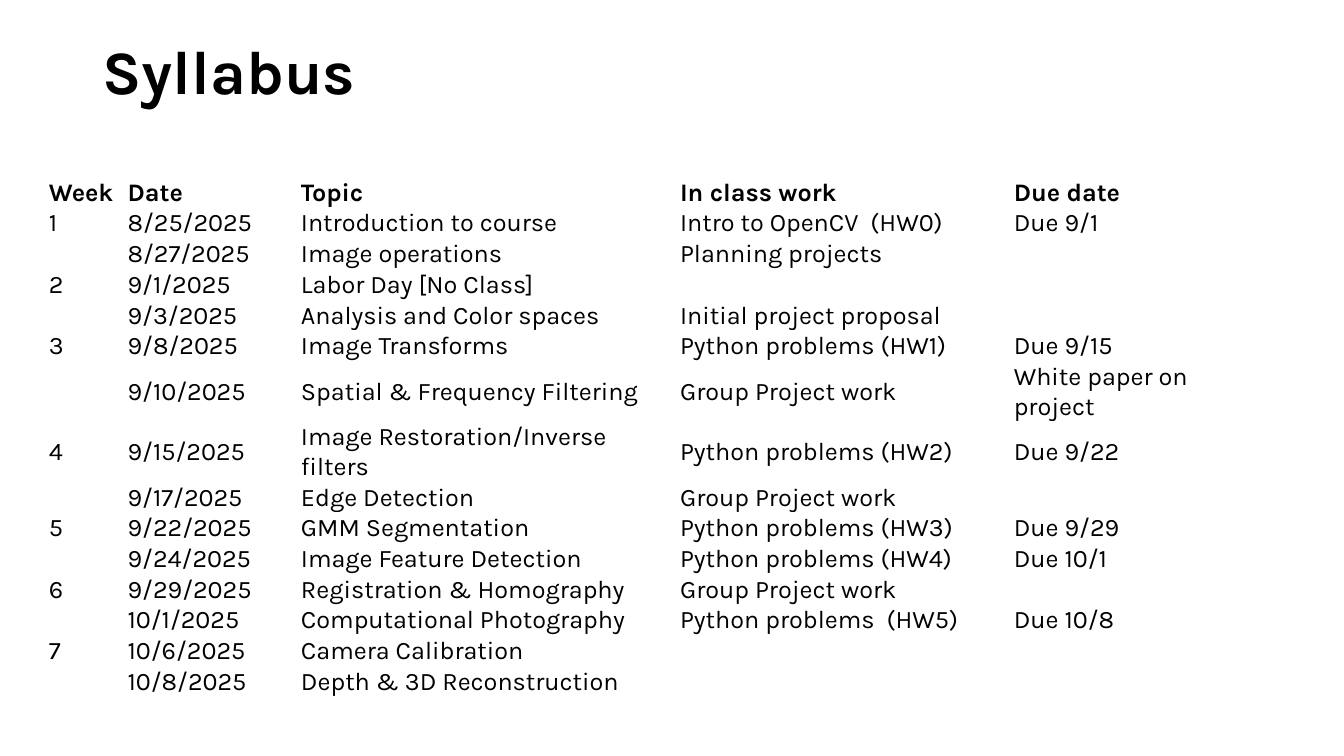
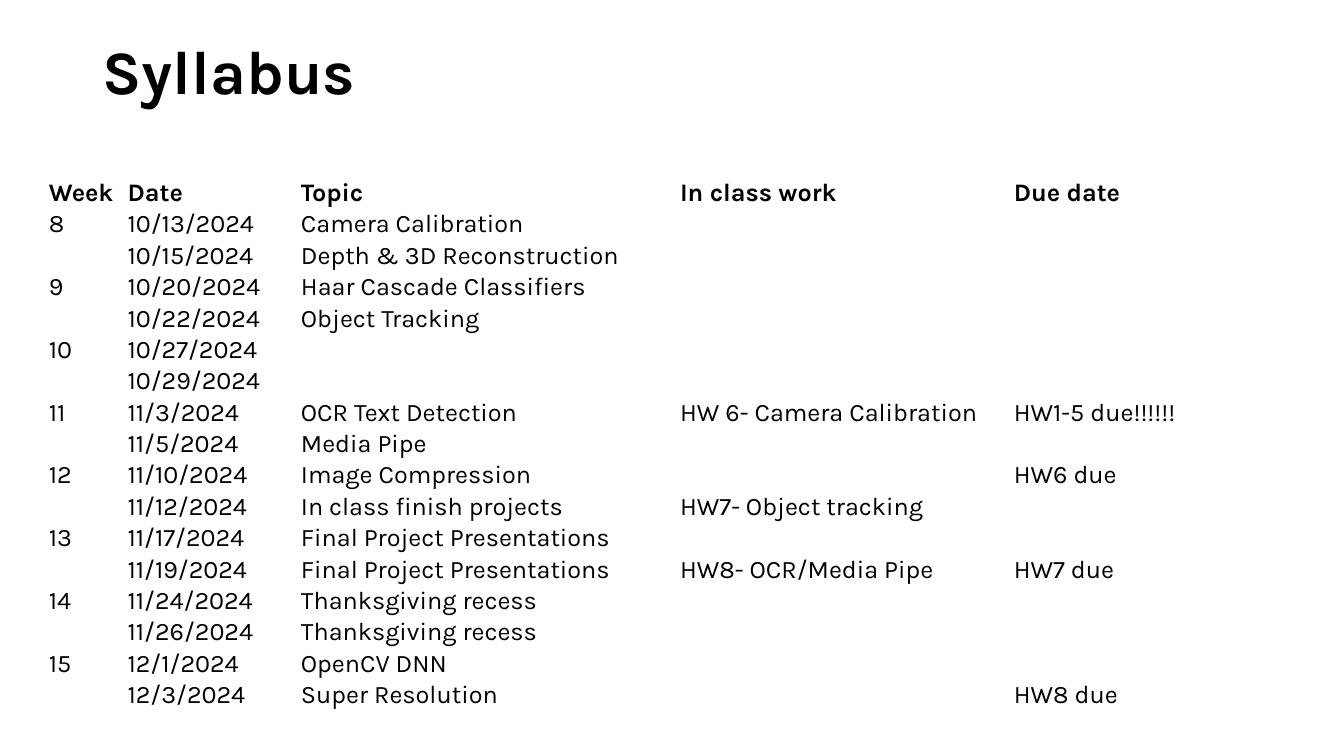
from pptx import Presentation
from pptx.dml.color import RGBColor
from pptx.enum.text import MSO_ANCHOR
from pptx.oxml.xmlchemy import OxmlElement
from pptx.util import Inches, Pt

MIDDLE = MSO_ANCHOR.MIDDLE
SLIDE_WIDTH, SLIDE_HEIGHT = 13.33, 7.5
FONT, INK, PAPER = "Karla", "000000", "FFFFFF"
TITLE_SIZE, TABLE_SIZE = 44, 18
TITLE_BOX = (0.92, 0.01, 11.5, 1.45)
TABLE_LEFT, TABLE_TOP = 0.48, 1.76
COLUMN_WIDTHS = (0.78, 1.72, 3.76, 3.31, 2.53)
ROW_HEIGHT = 0.3
CELL_MARGIN = Pt(0.4)
HEADINGS = ("Week", "Date", "Topic", "In class work", "Due date")
SESSIONS_PER_WEEK = 2

FIRST_HALF = [
    ("8/25", "Introduction to course", "Intro to OpenCV  (HW0)", "Due 9/1"),
    ("8/27", "Image operations", "Planning projects", ""),
    ("9/1", "Labor Day [No Class]", "", ""),
    ("9/3", "Analysis and Color spaces", "Initial project proposal", ""),
    ("9/8", "Image Transforms", "Python problems (HW1)", "Due 9/15"),
    ("9/10", "Spatial & Frequency Filtering", "Group Project work", "White paper on project"),
    ("9/15", "Image Restoration/Inverse filters", "Python problems (HW2)", "Due 9/22"),
    ("9/17", "Edge Detection", "Group Project work", ""),
    ("9/22", "GMM Segmentation", "Python problems (HW3)", "Due 9/29"),
    ("9/24", "Image Feature Detection", "Python problems (HW4)", "Due 10/1"),
    ("9/29", "Registration & Homography", "Group Project work", ""),
    ("10/1", "Computational Photography", "Python problems  (HW5)", "Due 10/8"),
    ("10/6", "Camera Calibration", "", ""),
    ("10/8", "Depth & 3D Reconstruction", "", ""),
]
SECOND_HALF = [
    ("10/13", "Camera Calibration", "", ""),
    ("10/15", "Depth & 3D Reconstruction", "", ""),
    ("10/20", "Haar Cascade Classifiers", "", ""),
    ("10/22", "Object Tracking", "", ""),
    ("10/27", "", "", ""),
    ("10/29", "", "", ""),
    ("11/3", "OCR Text Detection", "HW 6- Camera Calibration", "HW1-5 due!!!!!!"),
    ("11/5", "Media Pipe", "", ""),
    ("11/10", "Image Compression", "", "HW6 due"),
    ("11/12", "In class finish projects", "HW7- Object tracking", ""),
    ("11/17", "Final Project Presentations", "", ""),
    ("11/19", "Final Project Presentations", "HW8- OCR/Media Pipe", "HW7 due"),
    ("11/24", "Thanksgiving recess", "", ""),
    ("11/26", "Thanksgiving recess", "", ""),
    ("12/1", "OpenCV DNN", "", ""),
    ("12/3", "Super Resolution", "", "HW8 due"),
]


def color(value):
    """Turn a hex string into a colour."""
    return RGBColor.from_string(value)


def apply(target, formats):
    """Set every attribute of a format dict on the target."""
    for key, value in formats.items():
        setattr(target, key, value)


def write(paragraph, text, size, bold):
    """Add one styled run to a paragraph."""
    run = paragraph.add_run()
    run.text = text
    apply(run.font, {"name": FONT, "size": Pt(size), "bold": bold})
    run.font.color.rgb = color(INK)


def keep_line_height(paragraph, size):
    """Give an empty paragraph the line height of the table text."""
    end = OxmlElement("a:endParaRPr")
    end.set("sz", str(size * 100))
    latin = OxmlElement("a:latin")
    latin.set("typeface", FONT)
    end.append(latin)
    paragraph._p.append(end)


def add_title(slide, text):
    """Place the slide title."""
    frame = slide.shapes.add_textbox(*map(Inches, TITLE_BOX)).text_frame
    apply(frame, {"word_wrap": True, "vertical_anchor": MIDDLE})
    heading = frame.paragraphs[0]
    heading.line_spacing = 0.9
    write(heading, text, TITLE_SIZE, True)


def fill_cell(cell, text, bold):
    """Style one table cell and write its text."""
    margins = {f"margin_{side}": CELL_MARGIN for side in ("left", "right", "top", "bottom")}
    apply(cell, {"vertical_anchor": MIDDLE, **margins})
    cell.fill.solid()
    cell.fill.fore_color.rgb = color(PAPER)
    paragraph = cell.text_frame.paragraphs[0]
    if text:
        write(paragraph, text, TABLE_SIZE, bold)
    else:
        keep_line_height(paragraph, TABLE_SIZE)


def schedule_rows(sessions, first_week, year):
    """Number the weeks and complete the dates of the sessions."""
    rows = [HEADINGS]
    for index, (day, *details) in enumerate(sessions):
        week, session = divmod(index, SESSIONS_PER_WEEK)
        label = "" if session else str(first_week + week)
        rows.append((label, f"{day}/{year}", *details))
    return rows


def add_schedule(slide, rows):
    """Draw the schedule as a plain table with bold headings."""
    box = (TABLE_LEFT, TABLE_TOP, sum(COLUMN_WIDTHS), ROW_HEIGHT * len(rows))
    table = slide.shapes.add_table(len(rows), len(HEADINGS), *map(Inches, box)).table
    apply(table, {"first_row": False, "horz_banding": False})
    for column, width in zip(table.columns, COLUMN_WIDTHS):
        column.width = Inches(width)
    for index, (table_row, texts) in enumerate(zip(table.rows, rows)):
        table_row.height = Inches(ROW_HEIGHT)
        for cell, text in zip(table_row.cells, texts):
            fill_cell(cell, text, index == 0)


def main():
    """Build the syllabus slides."""
    deck = Presentation()
    apply(deck, {"slide_width": Inches(SLIDE_WIDTH), "slide_height": Inches(SLIDE_HEIGHT)})
    blank = deck.slide_layouts[6]
    for sessions, first_week, year in ((FIRST_HALF, 1, 2025), (SECOND_HALF, 8, 2024)):
        slide = deck.slides.add_slide(blank)
        add_schedule(slide, schedule_rows(sessions, first_week, year))
        add_title(slide, "Syllabus")
    deck.save("out.pptx")


if __name__ == "__main__":
    main()
